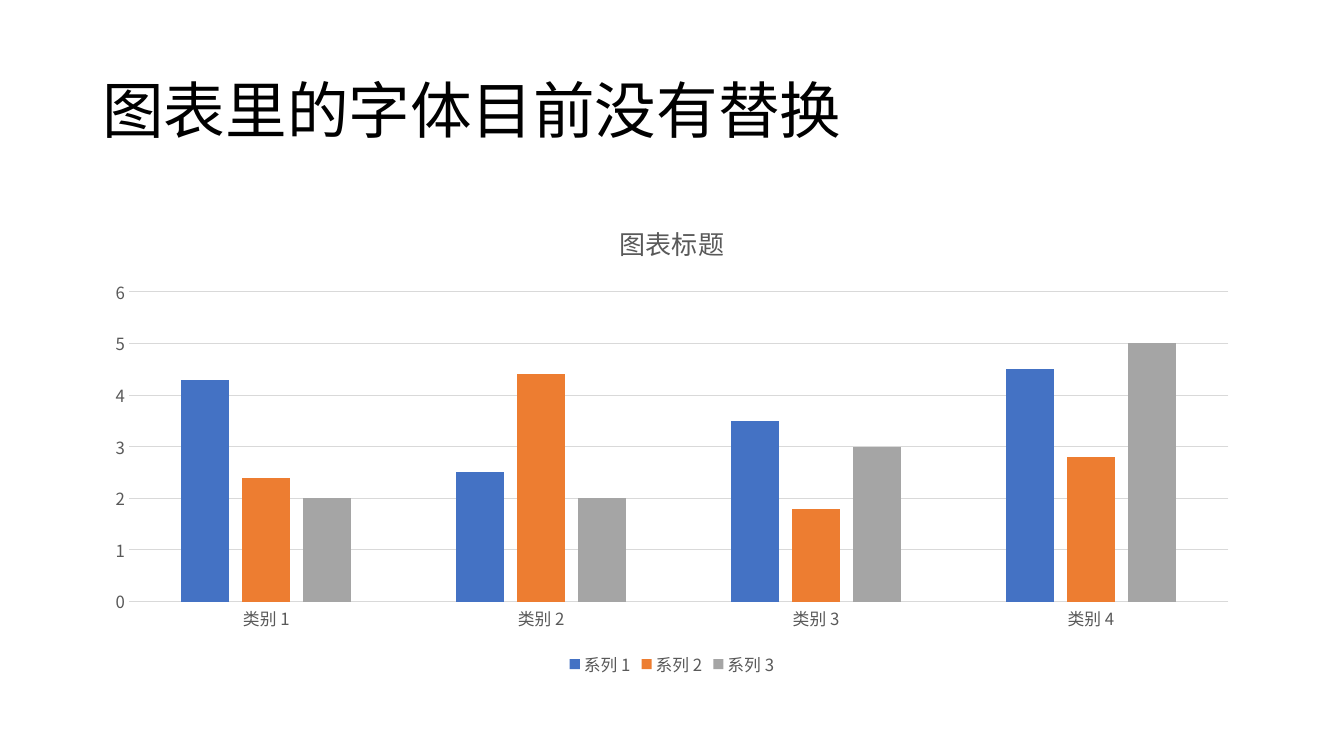
import pptx
import pptx.chart.data
import pptx.dml.color
import pptx.enum.chart
import pptx.enum.text
import pptx.oxml.ns
import pptx.oxml.xmlchemy
import pptx.util

Pt = pptx.util.Pt
FONT = "Noto Sans CJK SC"
COLORS = {
    "title": "000000",
    "label": "595959",
    "grid": "D9D9D9",
    "系列 1": "4472C4",
    "系列 2": "ED7D31",
    "系列 3": "A5A5A5",
}
CATEGORIES = ["类别 1", "类别 2", "类别 3", "类别 4"]
SERIES = {
    "系列 1": (4.3, 2.5, 3.5, 4.5),
    "系列 2": (2.4, 4.4, 1.8, 2.8),
    "系列 3": (2, 2, 3, 5),
}


def rgb(name):
    return pptx.dml.color.RGBColor.from_string(COLORS[name])


def set_attributes(target, values):
    for name, value in values.items():
        setattr(target, name, value)


def format_font(font, size, color):
    set_attributes(font, {"name": FONT, "size": Pt(size), "bold": False})
    font.color.rgb = rgb(color)
    # Chinese characters take the East Asian typeface
    east_asian = pptx.oxml.xmlchemy.OxmlElement("a:ea")
    east_asian.set("typeface", FONT)
    font._element.find(pptx.oxml.ns.qn("a:latin")).addnext(east_asian)


def format_line(line):
    line.color.rgb = rgb("grid")
    line.width = Pt(0.75)


def add_title(slide, box, text):
    frame = slide.shapes.add_textbox(*map(Pt, box)).text_frame
    set_attributes(frame, {
        "word_wrap": True,
        "vertical_anchor": pptx.enum.text.MSO_ANCHOR.MIDDLE,
    })
    paragraph = frame.paragraphs[0]
    paragraph.line_spacing = 0.9
    run = paragraph.add_run()
    run.text = text
    format_font(run.font, 44, "title")


def add_column_chart(slide, box, title):
    data = pptx.chart.data.CategoryChartData()
    data.categories = CATEGORIES
    for name, values in SERIES.items():
        data.add_series(name, values)
    chart = slide.shapes.add_chart(
        pptx.enum.chart.XL_CHART_TYPE.COLUMN_CLUSTERED, *map(Pt, box), data
    ).chart
    format_font(chart.font, 12, "label")

    # Chart title
    chart.has_title = True
    run = chart.chart_title.text_frame.paragraphs[0].add_run()
    run.text = title
    format_font(run.font, 18.6, "label")
    chart.chart_title.include_in_layout = False

    # Columns
    plot = chart.plots[0]
    set_attributes(plot, {"gap_width": 219, "overlap": -27, "vary_by_categories": False})
    for series in plot.series:
        series.format.fill.solid()
        series.format.fill.fore_color.rgb = rgb(series.name)
        series.invert_if_negative = False

    # Axes and gridlines
    no_tick = pptx.enum.chart.XL_TICK_MARK.NONE
    for axis in (chart.category_axis, chart.value_axis):
        set_attributes(axis, {"major_tick_mark": no_tick, "minor_tick_mark": no_tick})
        format_font(axis.tick_labels.font, 12, "label")
    format_line(chart.category_axis.format.line)
    set_attributes(chart.value_axis, {
        "minimum_scale": 0, "maximum_scale": 6, "major_unit": 1,
        "has_major_gridlines": True,
    })
    chart.value_axis.format.line.fill.background()
    format_line(chart.value_axis.major_gridlines.format.line)

    # Legend
    chart.has_legend = True
    set_attributes(chart.legend, {
        "position": pptx.enum.chart.XL_LEGEND_POSITION.BOTTOM,
        "include_in_layout": False,
    })
    format_font(chart.legend.font, 12, "label")


presentation = pptx.Presentation()
set_attributes(presentation, {"slide_width": Pt(960), "slide_height": Pt(540)})
slide = presentation.slides.add_slide(presentation.slide_layouts[6])
add_title(slide, (66, 28.75, 828, 104.4), "图表里的字体目前没有替换")
add_column_chart(slide, (66, 143.75, 828, 342.6), "图表标题")
presentation.save("out.pptx")
